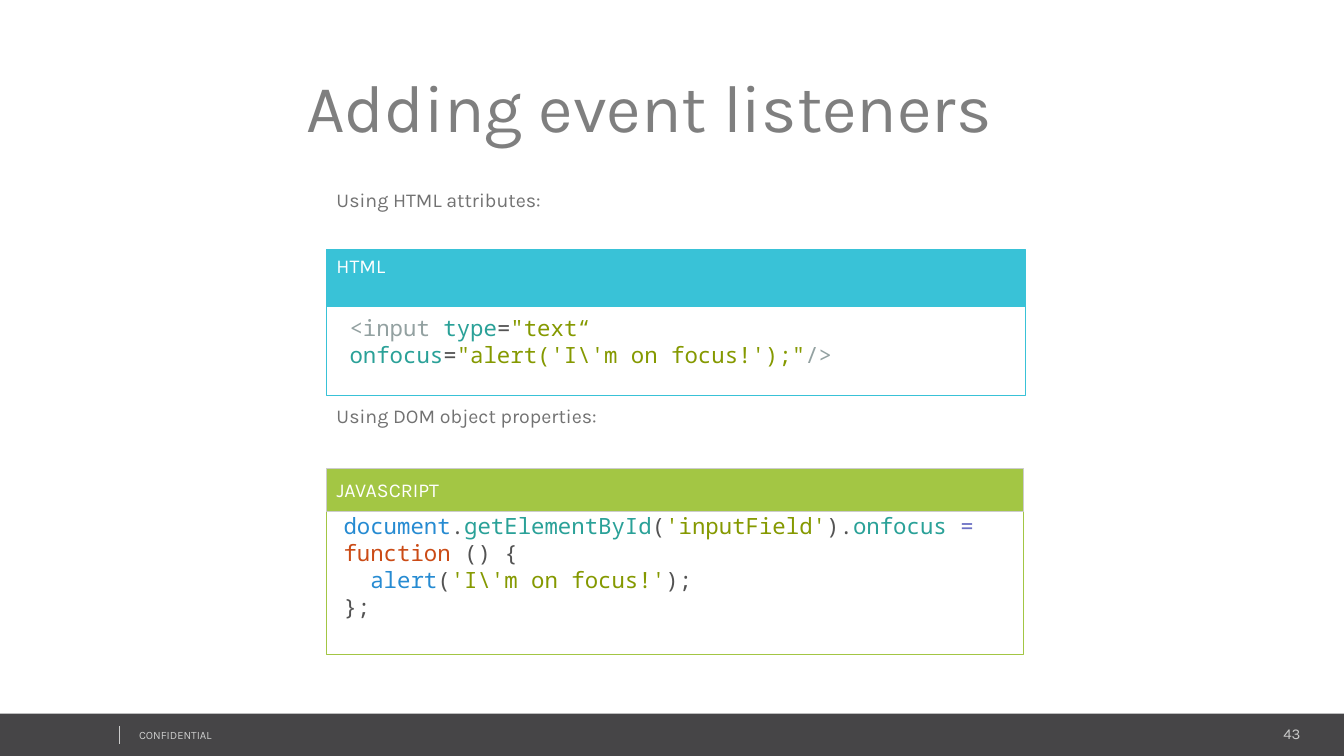
import pptx
import pptx.util
import pptx.dml.color
import pptx.enum.shapes
import pptx.enum.text
import pptx.oxml.ns
from lxml import etree

Pt = pptx.util.Pt
ALIGN = pptx.enum.text.PP_ALIGN
ANCHOR = pptx.enum.text.MSO_ANCHOR
RECTANGLE = pptx.enum.shapes.MSO_SHAPE.RECTANGLE
STRAIGHT = pptx.enum.shapes.MSO_CONNECTOR.STRAIGHT

# Content
TITLE = "Adding event listeners"
FOOTER = "CONFIDENTIAL"
PAGE = "43"

HTML_CODE = [
    ("<input ", "muted"), ("type", "teal"), ("=", "code"),
    ('"text“ ', "string"), ("onfocus", "teal"), ("=", "code"),
    ('"alert(\'I\\\'m on focus!\');"', "string"), ("/>", "muted"),
]
JS_CODE = [
    ("document", "blue"), (".", "code"), ("getElementById", "teal"),
    ("(", "code"), ("'inputField'", "string"), (").", "code"),
    ("onfocus ", "teal"), ("= ", "violet"), ("function", "keyword"),
    (" () {\n  ", "code"), ("alert", "blue"), ("(", "code"),
    ("'I\\'m on focus!'", "string"), (");\n};", "code"),
]

# Boxes are (left, top, width, height) in points
EXAMPLES = [
    dict(intro="Using HTML attributes:", intro_top=131, label="HTML",
         top=178, width=499, header=41, body=63.4, fill="html",
         edge="html", body_fill="white", label_anchor=ANCHOR.TOP,
         code=HTML_CODE, code_box=(242.6, 221, 386, 46),
         code_anchor=ANCHOR.TOP, code_bottom=3.6),
    dict(intro="Using DOM object properties:", intro_top=285.1,
         label="JAVASCRIPT", top=334.4, width=497.5, header=31.2, body=102.2,
         fill="js", edge="pale", body_fill=None, label_anchor=ANCHOR.MIDDLE,
         code=JS_CODE, code_box=(238.3, 370, 497.5, 104.4),
         code_anchor=ANCHOR.MIDDLE, code_bottom=40),
]

COLORS = {
    "white": "FFFFFF", "bar": "464547", "pale": "CCCCCC", "title": "7F7F7F",
    "intro": "727272", "html": "39C2D7", "js": "A3C644", "muted": "93A1A1",
    "teal": "2AA198", "code": "535353", "string": "859900", "blue": "268BD2",
    "violet": "6C71C4", "keyword": "CB4B16",
}
TEXT_FONT, CODE_FONT = "Karla", "Noto Sans Mono"
CARD_LEFT = 233.3


def rgb(name):
    return pptx.dml.color.RGBColor.from_string(COLORS[name])


def style_font(font, size, color, face=TEXT_FONT):
    font.size, font.name = Pt(size), face
    font.color.rgb = rgb(color)


def set_frame(frame, anchor=ANCHOR.TOP, bottom=3.6):
    frame.word_wrap = True
    frame.auto_size = pptx.enum.text.MSO_AUTO_SIZE.NONE
    frame.vertical_anchor = anchor
    frame.margin_left = frame.margin_right = Pt(7.2)
    frame.margin_top, frame.margin_bottom = Pt(3.6), Pt(bottom)


def write(frame, text, size, color, align=ALIGN.LEFT, anchor=ANCHOR.TOP):
    set_frame(frame, anchor)
    frame.text = text
    paragraph = frame.paragraphs[0]
    paragraph.alignment = align
    style_font(paragraph.runs[0].font, size, color)


def add_text(shapes, box, *text_style):
    write(shapes.add_textbox(*map(Pt, box)).text_frame, *text_style)


def add_rectangle(shapes, box, fill, edge=None):
    rectangle = shapes.add_shape(RECTANGLE, *map(Pt, box))
    rectangle.shadow.inherit = False
    if fill:
        rectangle.fill.solid()
        rectangle.fill.fore_color.rgb = rgb(fill)
    else:
        rectangle.fill.background()
    if edge:
        rectangle.line.color.rgb = rgb(edge)
        rectangle.line.width = Pt(0.75)
    else:
        rectangle.line.fill.background()
    return rectangle


def add_code(shapes, example):
    frame = shapes.add_textbox(*map(Pt, example["code_box"])).text_frame
    set_frame(frame, example["code_anchor"], example["code_bottom"])
    paragraph = frame.paragraphs[0]
    paragraph.line_spacing = Pt(19.3)
    for token, color in example["code"]:
        for index, piece in enumerate(token.split("\n")):
            if index:
                paragraph.add_line_break()
            run = paragraph.add_run()
            run.text = piece
            style_font(run.font, 16, color, CODE_FONT)


def add_card(shapes, example):
    top, width, header = example["top"], example["width"], example["header"]
    card = shapes.add_group_shape().shapes
    add_rectangle(card, (CARD_LEFT, top + header, width, example["body"]),
                  example["body_fill"], example["fill"])
    heading = add_rectangle(card, (CARD_LEFT, top, width, header),
                            example["fill"], example["edge"])
    write(heading.text_frame, example["label"], 14, "white",
          ALIGN.LEFT, example["label_anchor"])
    add_code(card, example)


def add_footer(shapes):
    add_rectangle(shapes, (0, 509.8, 961, 31), "bar")
    add_text(shapes, (779, 514, 157, 20), PAGE, 10.7, "pale", ALIGN.RIGHT)
    add_text(shapes, (92.2, 517, 243.4, 17.3), FOOTER, 8, "pale")
    divider = shapes.add_connector(STRAIGHT, Pt(85.5), Pt(518.4),
                                   Pt(85.5), Pt(531.4))
    divider.line.color.rgb = rgb("pale")
    divider.line.width = Pt(0.75)
    properties = divider._element.spPr
    etree.SubElement(properties, pptx.oxml.ns.qn("a:effectLst"))


def main():
    deck = pptx.Presentation()
    deck.slide_width, deck.slide_height = Pt(960), Pt(540)
    slide = deck.slides.add_slide(deck.slide_layouts[5])

    # Title
    title = slide.shapes.title
    title.left, title.top = Pt(122.4), Pt(42.5)
    title.width, title.height = Pt(682.6), Pt(65.5)
    write(title.text_frame, TITLE, 48, "title", ALIGN.CENTER, ANCHOR.BOTTOM)

    # Footer band, then the two code examples
    add_footer(slide.shapes)
    for example in EXAMPLES:
        add_text(slide.shapes, (CARD_LEFT, example["intro_top"], 270.7, 24.5),
                 example["intro"], 14, "intro")
        add_card(slide.shapes, example)

    deck.save("out.pptx")


if __name__ == "__main__":
    main()
